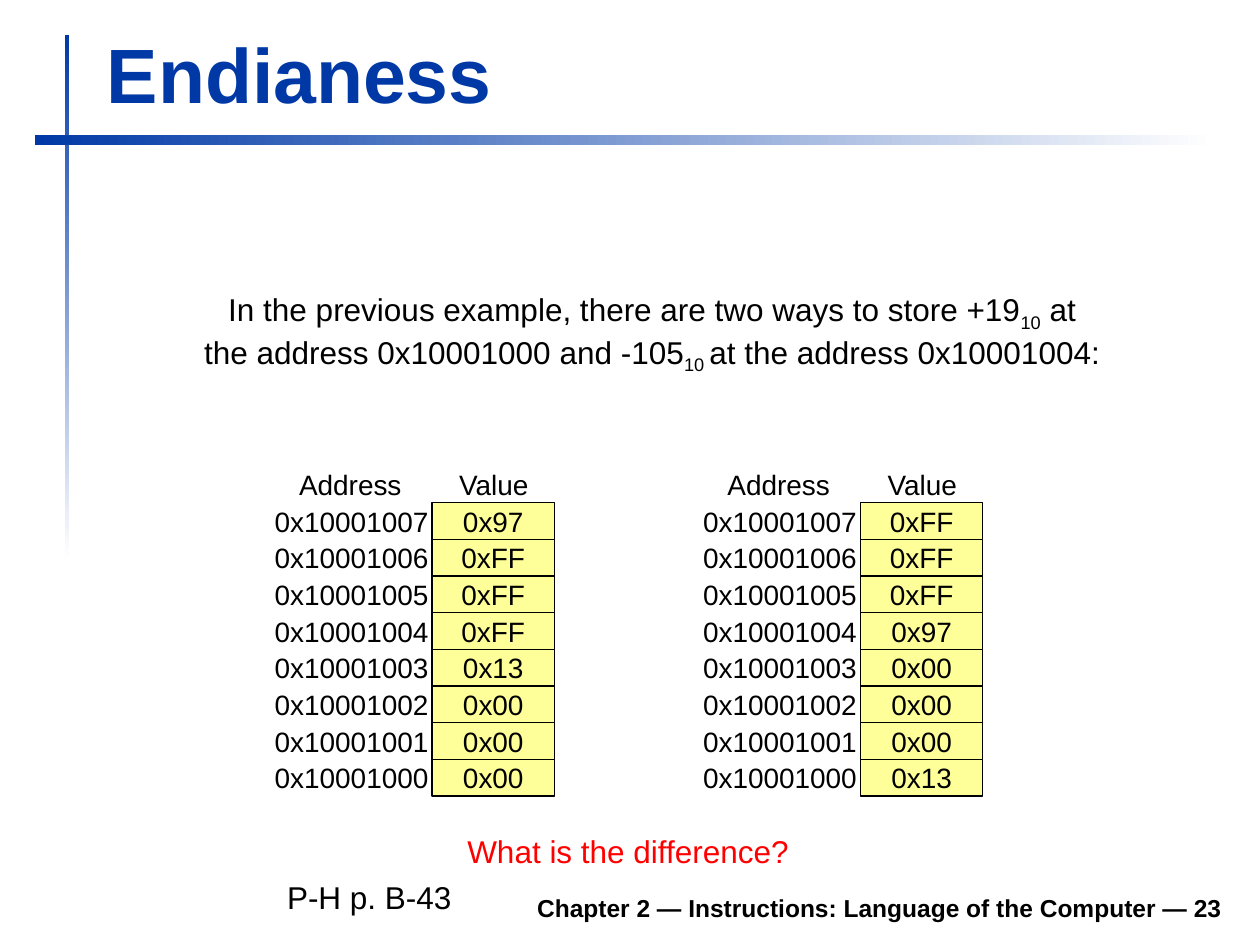
from dataclasses import dataclass
from pptx import Presentation
from pptx.dml.color import RGBColor
from pptx.enum.shapes import MSO_SHAPE
from pptx.enum.text import MSO_ANCHOR, MSO_AUTO_SIZE, PP_ALIGN
from pptx.util import Inches, Pt

RECT = MSO_SHAPE.RECTANGLE
TOP, MIDDLE, BOTTOM = MSO_ANCHOR.TOP, MSO_ANCHOR.MIDDLE, MSO_ANCHOR.BOTTOM
LEFT, CENTER, RIGHT = PP_ALIGN.LEFT, PP_ALIGN.CENTER, PP_ALIGN.RIGHT
GROW, FIXED = MSO_AUTO_SIZE.SHAPE_TO_FIT_TEXT, MSO_AUTO_SIZE.NONE

WIDTH, HEIGHT = Inches(10), Inches(7.5)
COLS, ROWS = 100, 75
PITCH = 2.91  # grid rows from one memory cell to the next


@dataclass(frozen=True)
class Theme:
    font: str = "Arial"
    blue: str = "0039A6"
    white: str = "FFFFFF"
    black: str = "000000"
    red: str = "FF0000"
    cell: str = "FFFF99"
    title: int = 44
    body: int = 18
    table: int = 16
    foot: int = 14
    line: float = 0.75


THEME = Theme()

ADDRS = [f"0x1000100{n}" for n in range(7, -1, -1)]
TABLES = [
    (20.8, ["0x97", "0xFF", "0xFF", "0xFF", "0x13", "0x00", "0x00", "0x00"]),
    (54.8, ["0xFF", "0xFF", "0xFF", "0x97", "0x00", "0x00", "0x00", "0x13"]),
]
INTRO = [
    [("In the previous example, there are two ways to store +19", False),
     ("10", True), (" at", False)],
    [("the address 0x10001000 and -105", False),
     ("10 ", True), ("at the address 0x10001004:", False)],
]


def place(col, row, wide, high):
    """Turn grid columns and rows into slide lengths."""
    return (round(WIDTH * col / COLS), round(HEIGHT * row / ROWS),
            round(WIDTH * wide / COLS), round(HEIGHT * high / ROWS))


def tint(text):
    return RGBColor.from_string(text)


def style(item, values):
    for name, value in values.items():
        setattr(item, name, value)


def write(shape, lines, size, color=THEME.black, bold=False, align=CENTER,
          anchor=MIDDLE, wrap=False, fit=GROW):
    """Fill a shape with lines, each a string or a list of (text, subscript)."""
    frame = shape.text_frame
    style(frame, {"word_wrap": wrap, "auto_size": fit,
                  "vertical_anchor": anchor})
    for i, line in enumerate(lines):
        para = frame.add_paragraph() if i else frame.paragraphs[0]
        para.alignment = align
        for text, sub in [(line, False)] if isinstance(line, str) else line:
            run = para.add_run()
            run.text = text
            style(run.font, {"name": THEME.font, "size": Pt(size),
                             "bold": bold})
            run.font.color.rgb = tint(color)
            if sub:
                run.font._element.set("baseline", "-25000")


def label(shapes, box, lines, size, **format):
    write(shapes.add_textbox(*place(*box)), lines, size, **format)


def block(shapes, box):
    shape = shapes.add_shape(RECT, *place(*box))
    shape.shadow.inherit = False
    return shape


def fade(shapes, box, angle):
    """Draw a bar that runs from blue to white."""
    bar = block(shapes, box)
    bar.line.fill.background()
    bar.fill.gradient()
    bar.fill.gradient_angle = angle
    for stop, color in zip(bar.fill.gradient_stops, (THEME.blue, THEME.white)):
        stop.color.rgb = tint(color)


def cell(shapes, box, text):
    shape = block(shapes, box)
    shape.fill.solid()
    shape.fill.fore_color.rgb = tint(THEME.cell)
    shape.line.color.rgb = tint(THEME.black)
    shape.line.width = Pt(THEME.line)
    write(shape, [text], THEME.table, fit=FIXED)


def memory(shapes, left, values):
    """Draw one group of addresses beside their byte values."""
    group = shapes.add_group_shape().shapes
    for i, addr in enumerate(ADDRS):
        label(group, (left, 39.5 + i * PITCH, 14.2, 3.7), [addr], THEME.table)
    for i, value in enumerate(values):
        cell(group, (left + 13.5, 39.9 + i * PITCH, 9.7, PITCH), value)
    for text, shift, wide in (("Address", 1.95, 10.1), ("Value", 14.6, 7.6)):
        label(group, (left + shift, 36.6, wide, 3.7), [text], THEME.table)


def main():
    deck = Presentation()
    style(deck, {"slide_width": WIDTH, "slide_height": HEIGHT})
    shapes = deck.slides.add_slide(deck.slide_layouts[6]).shapes

    fade(shapes, (5.15, 2.8, 0.35, 41.7), 270)
    fade(shapes, (2.75, 10.7, 93.7, 0.8), 0)
    label(shapes, (18.5, 69.8, 79.5, 3.9),
          ["Chapter 2 — Instructions: Language of the Computer — 23"],
          THEME.foot, bold=True, align=RIGHT, anchor=BOTTOM, wrap=True,
          fit=FIXED)
    label(shapes, (7.5, 1.6, 90.3, 8.3), ["Endianess"], THEME.title,
          color=THEME.blue, bold=True, align=LEFT, anchor=BOTTOM, wrap=True)

    label(shapes, (15.2, 22.5, 73.1, 7.8), INTRO, THEME.body)
    for left, values in TABLES:
        memory(shapes, left, values)
    label(shapes, (36.1, 65.5, 27.5, 4), ["What is the difference?"],
          THEME.body, color=THEME.red)
    label(shapes, (21.8, 69.2, 16, 4), ["P-H p. B-43"], THEME.body,
          align=LEFT, anchor=TOP, wrap=True)

    deck.save("out.pptx")


if __name__ == "__main__":
    main()
